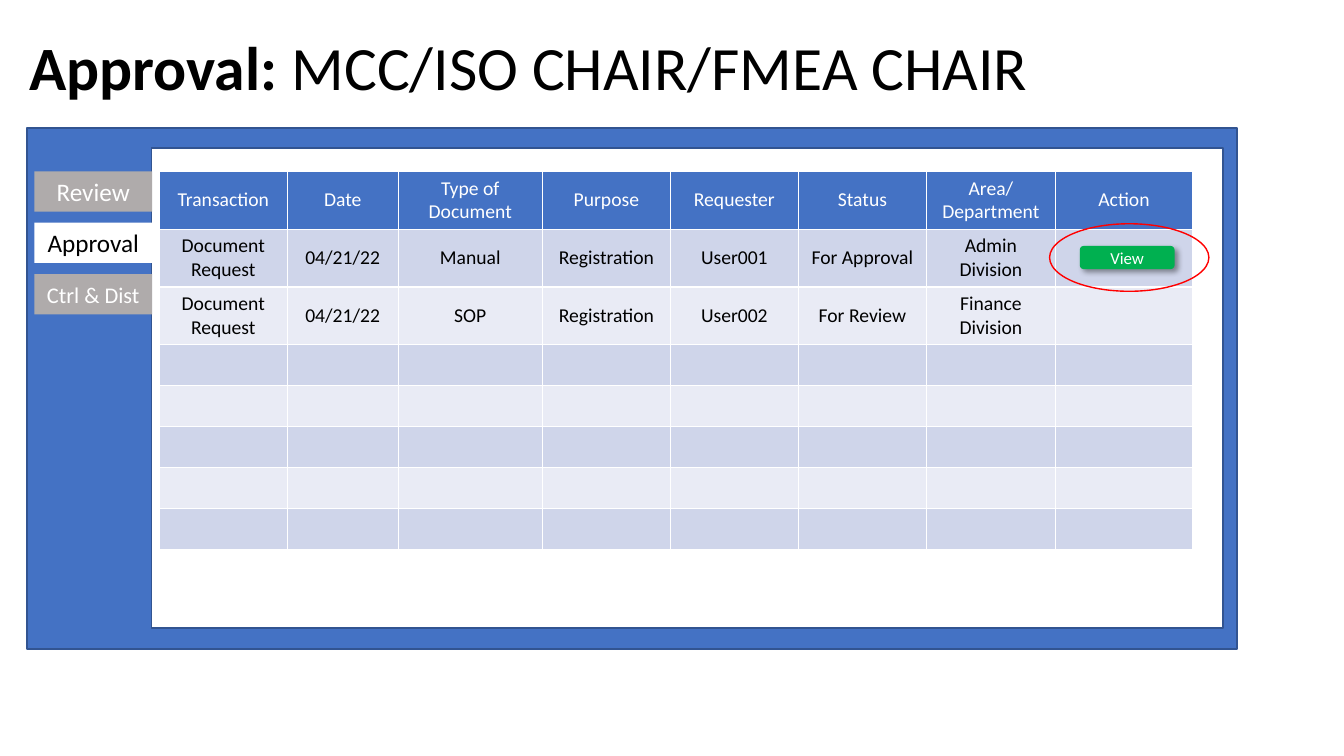
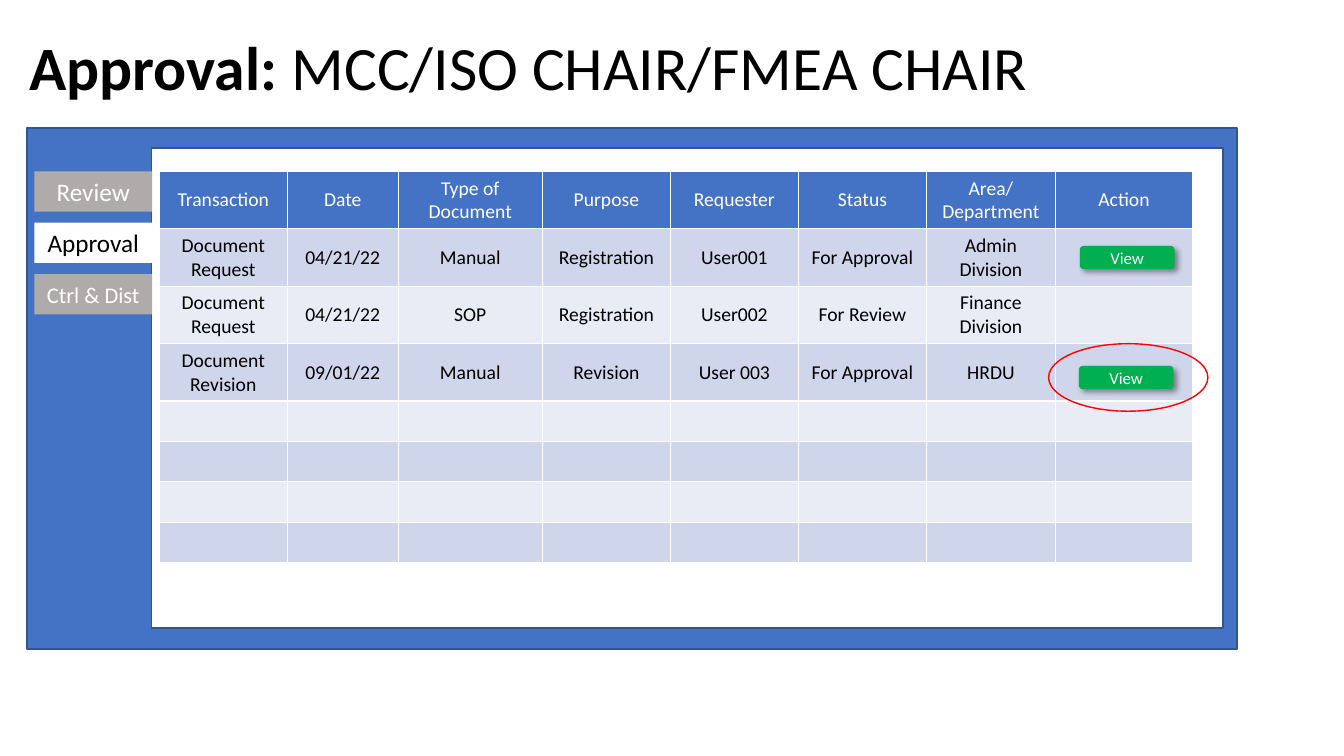
"""Build two slides of an approval screen with a request table and highlighted View buttons."""
from lxml import etree
from pptx import Presentation
from pptx import util as u
from pptx.dml.color import RGBColor
from pptx.enum import shapes, text
from pptx.oxml import ns

PX = 9144
FONT = "Calibri"
COLORS = {
    "blue": "4472C4", "outline": "325491", "white": "FFFFFF", "black": "000000",
    "gray": "AFABAB", "green": "00B050", "red": "FF0000",
    "band_dark": "CFD5EA", "band_light": "E9EBF5",
}
COLUMN_WIDTHS = [127, 110, 143, 127, 127, 127, 128, 136]
ROW_COUNT = 8
FILLED_ROW, EMPTY_ROW = 57, 40
TAB_TOP, TAB_PITCH = 170, 51
TABS = [("Review", 18, "gray", "white"), ("Approval", 18, "white", "black"),
        ("Ctrl & Dist", 16, "gray", "white")]
HEADER = ["Transaction", "Date", "Type of Document", "Purpose", "Requester",
          "Status", "Area/\nDepartment", "Action"]
REQUESTS = [
    ["Document Request", "04/21/22", "Manual", "Registration", "User001",
     "For Approval", "Admin Division", ""],
    ["Document Request", "04/21/22", "SOP", "Registration", "User002",
     "For Review", "Finance Division", ""],
]
REVISION = ["Document Revision", "09/01/22", "Manual", "Revision", "User 003",
            "For Approval", "HRDU", ""]


def color(name):
    return RGBColor.from_string(COLORS[name])


def box(left, top, width, height):
    return [u.Emu(value * PX) for value in (left, top, width, height)]


def style_font(paragraph, size, font_color):
    font = paragraph.font
    font.name, font.size = FONT, u.Pt(size)
    font.color.rgb = color(font_color)


def add_shape(slide, kind, bounds, fill=None, line=None):
    shape = slide.shapes.add_shape(kind, *box(*bounds))
    shape.shadow.inherit = False
    if fill:
        shape.fill.solid()
        shape.fill.fore_color.rgb = color(fill)
    else:
        shape.fill.background()
    if line:
        shape.line.color.rgb = color(line)
        shape.line.width = u.Pt(1)
    else:
        shape.line.fill.background()
    return shape


def add_label(shape, label, size, font_color):
    frame = shape.text_frame
    frame.text = label
    frame.vertical_anchor = text.MSO_ANCHOR.MIDDLE
    paragraph = frame.paragraphs[0]
    paragraph.alignment = text.PP_ALIGN.CENTER
    style_font(paragraph, size, font_color)


def add_title(slide, bold_part, plain_part):
    frame = slide.shapes.add_textbox(*box(19, 24, 1150, 92)).text_frame
    frame.word_wrap = True
    frame.vertical_anchor = text.MSO_ANCHOR.MIDDLE
    paragraph = frame.paragraphs[0]
    paragraph.line_spacing = 0.9
    style_font(paragraph, 44, "black")
    for words, bold in ((bold_part, True), (plain_part, False)):
        run = paragraph.add_run()
        run.text, run.font.bold = words, bold


def add_window(slide):
    rectangle = shapes.MSO_SHAPE.RECTANGLE
    add_shape(slide, rectangle, (27, 127, 1200, 517), "blue", "outline")
    add_shape(slide, rectangle, (150, 147, 1063, 476), "white", "outline")


def add_tabs(slide):
    for index, (label, size, fill, font_color) in enumerate(TABS):
        bounds = (34, TAB_TOP + index * TAB_PITCH, 117, 40)
        tab = add_shape(slide, shapes.MSO_SHAPE.RECTANGLE, bounds, fill)
        add_label(tab, label, size, font_color)


def fill_cell(cell, value, fill, font_color):
    cell.fill.solid()
    cell.fill.fore_color.rgb = color(fill)
    cell.vertical_anchor = text.MSO_ANCHOR.MIDDLE
    if value:
        cell.text = value
        for paragraph in cell.text_frame.paragraphs:
            paragraph.alignment = text.PP_ALIGN.CENTER
            style_font(paragraph, 14, font_color)


def add_request_table(slide, requests):
    rows = [HEADER, *requests]
    heights = [FILLED_ROW] * len(rows) + [EMPTY_ROW] * (ROW_COUNT - len(rows))
    rows += [[""] * len(HEADER)] * (ROW_COUNT - len(rows))
    bounds = box(158, 170, sum(COLUMN_WIDTHS), sum(heights))
    table = slide.shapes.add_table(ROW_COUNT, len(HEADER), *bounds).table
    for column, width in zip(table.columns, COLUMN_WIDTHS):
        column.width = u.Emu(width * PX)
    for index, (row, height, values) in enumerate(zip(table.rows, heights, rows)):
        row.height = u.Emu(height * PX)
        band = "band_dark" if index % 2 else "band_light"
        fill, font_color = (band, "black") if index else ("blue", "white")
        for cell, value in zip(row.cells, values):
            fill_cell(cell, value, fill, font_color)


def add_soft_shadow(shape):
    effects = shape._element.spPr.find(ns.qn("a:effectLst"))
    shadow = etree.SubElement(effects, ns.qn("a:outerShdw"), blurRad=str(u.Pt(4)),
                              dist=str(u.Pt(3)), dir="2700000", algn="tl",
                              rotWithShape="0")
    tint = etree.SubElement(shadow, ns.qn("a:srgbClr"), val=COLORS["black"])
    etree.SubElement(tint, ns.qn("a:alpha"), val="40000")


def add_view_button(slide, left, top, circled):
    button = add_shape(slide, shapes.MSO_SHAPE.ROUNDED_RECTANGLE,
                       (left, top, 94, 23), "green")
    add_label(button, "View", 12, "white")
    add_soft_shadow(button)
    if circled:
        add_shape(slide, shapes.MSO_SHAPE.OVAL, (left - 30, top - 22, 158, 67),
                  line="red")


def add_approval_slide(presentation, requests, buttons):
    slide = presentation.slides.add_slide(presentation.slide_layouts[6])
    add_window(slide)
    add_request_table(slide, requests)
    add_tabs(slide)
    add_title(slide, "Approval:", " MCC/ISO CHAIR/FMEA CHAIR")
    for left, top, circled in buttons:
        add_view_button(slide, left, top, circled)


def main():
    presentation = Presentation()
    presentation.slide_width = u.Emu(1333 * PX)
    presentation.slide_height = u.Emu(750 * PX)
    add_approval_slide(presentation, REQUESTS, [(1071, 244, True)])
    add_approval_slide(presentation, [*REQUESTS, REVISION],
                       [(1071, 244, False), (1070, 363, True)])
    presentation.save("out.pptx")


if __name__ == "__main__":
    main()
